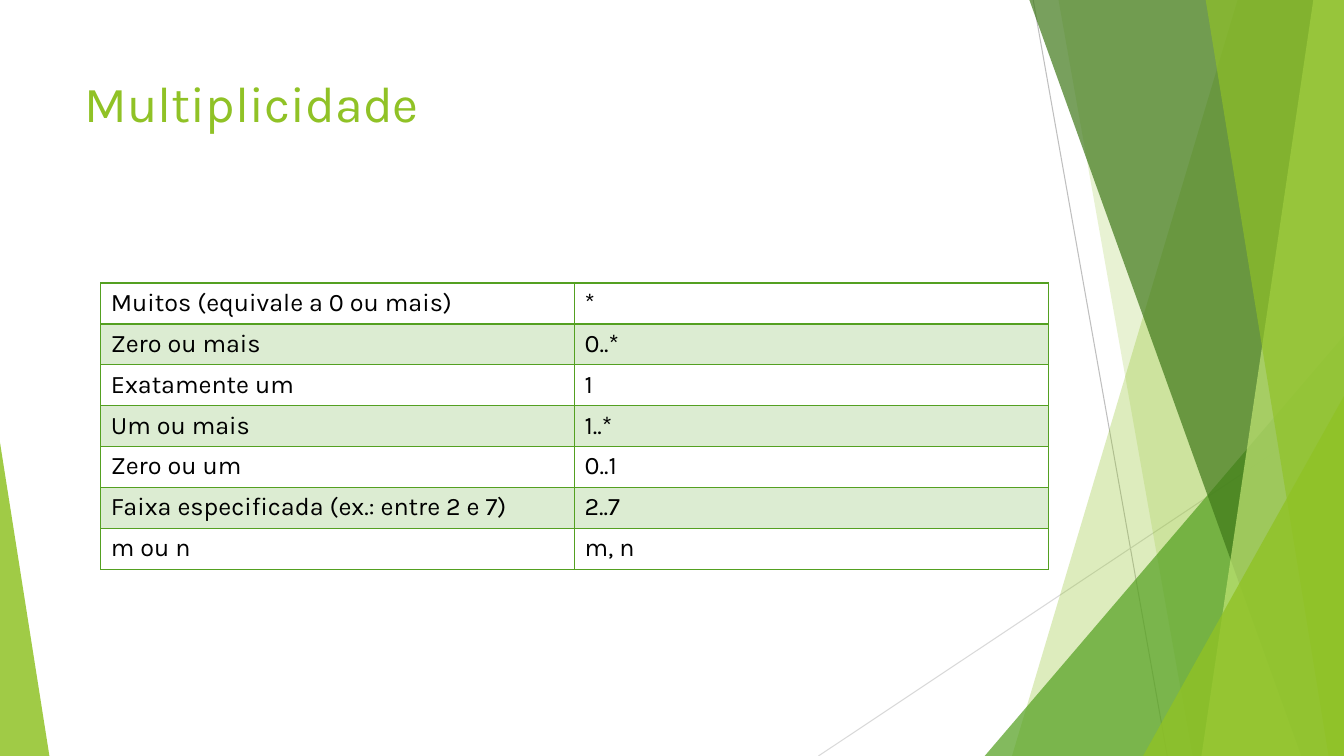
from lxml import etree
from pptx import Presentation
from pptx.dml.color import RGBColor
from pptx.enum.shapes import MSO_CONNECTOR, MSO_SHAPE
from pptx.enum.text import MSO_ANCHOR, PP_ALIGN
from pptx.oxml.ns import qn
from pptx.util import Pt

TRIANGLE = MSO_SHAPE.ISOSCELES_TRIANGLE
STRAIGHT = MSO_CONNECTOR.STRAIGHT
TOP = MSO_ANCHOR.TOP
LEFT = PP_ALIGN.LEFT

LIME = RGBColor(0x90, 0xC2, 0x26)
GREEN = RGBColor(0x54, 0xA0, 0x21)
FOREST = RGBColor(0x3F, 0x78, 0x19)
PALE = RGBColor(0xC0, 0xE4, 0x74)
GRAY = RGBColor(0xBF, 0xBF, 0xBF)
SILVER = RGBColor(0xD9, 0xD9, 0xD9)
BLACK = RGBColor(0, 0, 0)

WIDTH, HEIGHT = 960, 540
TITLE = "Multiplicidade"
ROWS = [
    ("Muitos (equivale a 0 ou mais)", "*"),
    ("Zero ou mais", "0..*"),
    ("Exatamente um", "1"),
    ("Um ou mais", "1..*"),
    ("Zero ou um", "0..1"),
    ("Faixa especificada (ex.: entre 2 e 7)", "2..7"),
    ("m ou n", "m, n"),
]
TITLE_FONT = {"name": "Karla", "size": Pt(36), "bold": False}
CELL_FONT = {"name": "Karla", "size": Pt(18), "bold": False}
TABLE_LEFT, TABLE_TOP = 72, 202.2
COLUMN_WIDTH, ROW_HEIGHT = 338.4, 29.23

LINES = [
    ((738, 0), (833.8, HEIGHT), GRAY),
    ((WIDTH, 290), (584.6, HEIGHT), SILVER),
]
PANEL_TOP = -0.6
DECOR = [
    ("panel", 884.2, 722.9, LIME, 30),
    ("panel", 756, 851.8, LIME, 20),
    ("triangle", (703.4, 256.6, 300.2), 1, GREEN, 72),
    ("panel", 735.1, 929.5, FOREST, 70),
    ("panel", 938.2, 858.2, PALE, 70),
    ("panel", 861.1, 949, LIME, 65),
    ("triangle", (816.5, 143.5, 257), 1, LIME, 80),
    ("triangle", (0, 35.3, 223.9), 0, LIME, 85),
]


def paint(fill, holder, color, percent):
    fill.solid()
    fill.fore_color.rgb = color
    tint = holder.find(qn("a:solidFill"))[0]
    etree.SubElement(tint, qn("a:alpha"), val=str(percent * 1000))


def style(para, values, color):
    para.alignment = LEFT
    for key, value in values.items():
        setattr(para.font, key, value)
    para.font.color.rgb = color


def add_line(page, start, end, color):
    line = page.shapes.add_connector(STRAIGHT, *map(Pt, start + end))
    line.line.color.rgb = color
    line.line.width = Pt(0.75)
    etree.SubElement(line.element.spPr, qn("a:effectLst"))


def add_panel(page, top_x, bottom_x):
    builder = page.shapes.build_freeform(Pt(top_x), Pt(PANEL_TOP))
    corners = [(WIDTH, PANEL_TOP), (WIDTH, HEIGHT), (bottom_x, HEIGHT)]
    builder.add_line_segments([(Pt(x), Pt(y)) for x, y in corners], close=True)
    return builder.convert_to_shape()


def add_triangle(page, frame, apex):
    left, width, height = frame
    shape = page.shapes.add_shape(
        TRIANGLE, Pt(left), Pt(HEIGHT - height), Pt(width), Pt(height))
    shape.adjustments[0] = apex
    return shape


def add_decor(page):
    makers = {"panel": add_panel, "triangle": add_triangle}
    for line in LINES:
        add_line(page, *line)
    for kind, first, second, color, percent in DECOR:
        shape = makers[kind](page, first, second)
        shape.shadow.inherit = False
        shape.line.fill.background()
        paint(shape.fill, shape.element.spPr, color, percent)


def add_borders(cell, widths):
    properties = cell._tc.get_or_add_tcPr()
    for side, width in widths.items():
        border = etree.SubElement(properties, qn("a:ln" + side), w=str(Pt(width)))
        fill = etree.SubElement(border, qn("a:solidFill"))
        etree.SubElement(fill, qn("a:srgbClr"), val=str(GREEN))


def add_grid(page):
    count = len(ROWS)
    table = page.shapes.add_table(
        count, 2, Pt(TABLE_LEFT), Pt(TABLE_TOP),
        Pt(2 * COLUMN_WIDTH), Pt(count * ROW_HEIGHT)).table
    table.first_row = table.horz_banding = False
    for column in table.columns:
        column.width = Pt(COLUMN_WIDTH)
    for index, values in enumerate(ROWS):
        table.rows[index].height = Pt(ROW_HEIGHT)
        widths = {"L": 1, "R": 1, "T": 2 if index == 1 else 1,
                  "B": 2 if index == 0 else 1}
        for cell, value in zip(table.rows[index].cells, values):
            cell.text = value
            style(cell.text_frame.paragraphs[0], CELL_FONT, BLACK)
            add_borders(cell, widths)
            if index % 2:
                paint(cell.fill, cell._tc.tcPr, GREEN, 20)
            else:
                cell.fill.background()


def main():
    deck = Presentation()
    deck.slide_width, deck.slide_height = Pt(WIDTH), Pt(HEIGHT)
    page = deck.slides.add_slide(deck.slide_layouts[5])
    add_decor(page)
    title = page.shapes.title
    title.left, title.top, title.width, title.height = map(
        Pt, (53.3, 48, 676.8, 104))
    title.text_frame.text = TITLE
    title.text_frame.vertical_anchor = TOP
    style(title.text_frame.paragraphs[0], TITLE_FONT, LIME)
    add_grid(page)
    deck.save("out.pptx")


if __name__ == "__main__":
    main()
